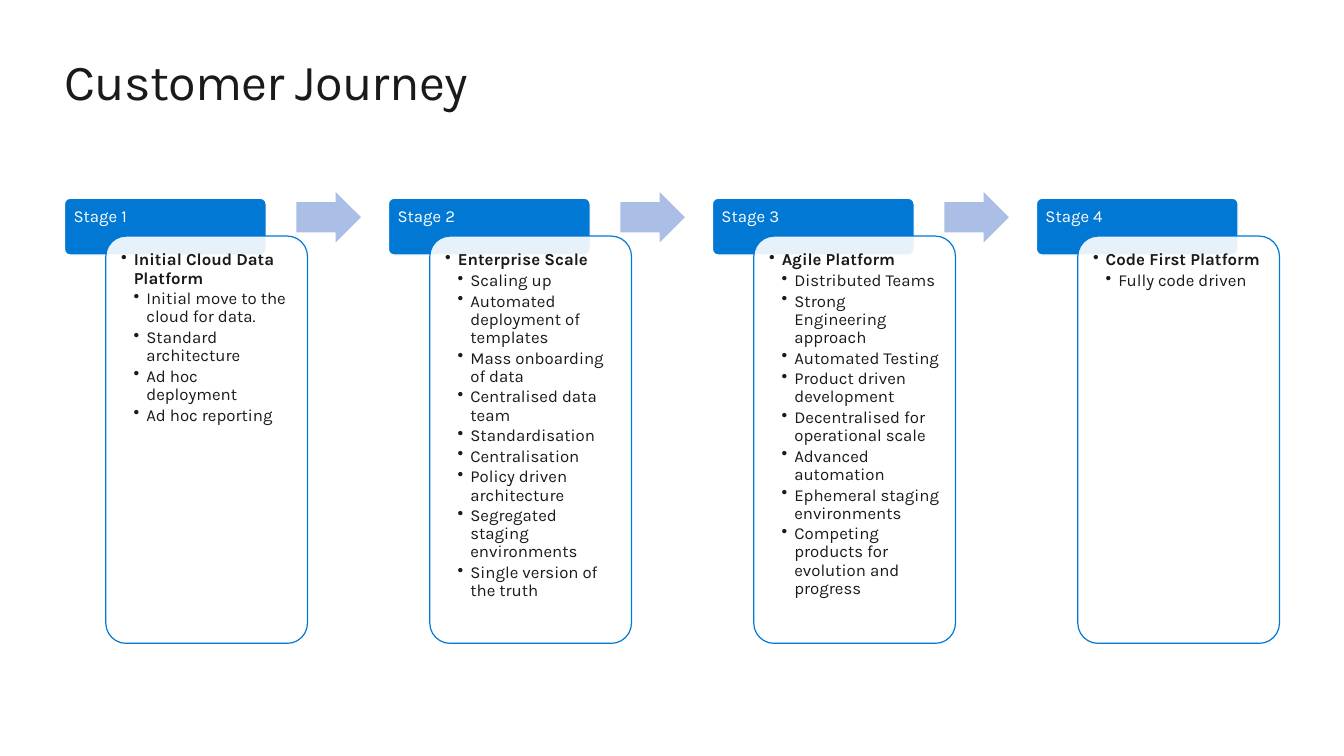
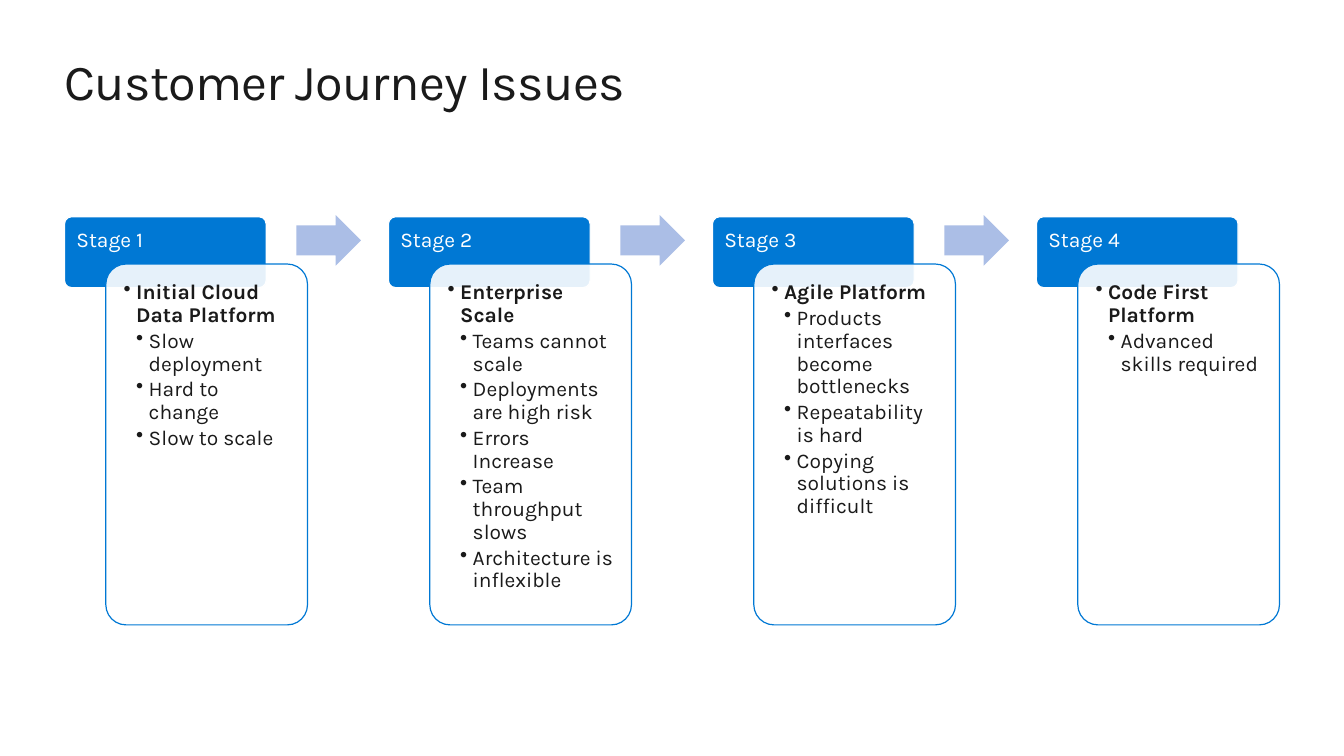
import pptx
import pptx.dml.color
import pptx.enum.shapes
import pptx.enum.text
import pptx.oxml.ns
import pptx.util
from lxml import etree

RGB = pptx.dml.color.RGBColor
BLUE = RGB(0x00, 0x78, 0xD4)
PALE_BLUE = RGB(0xAB, 0xBE, 0xE6)
WHITE = RGB(0xFF, 0xFF, 0xFF)
INK = RGB(0x1A, 0x1A, 0x1A)
FONT = "Karla"
SHAPES = pptx.enum.shapes.MSO_SHAPE

# Regions in inches: left, top, width, height
TITLE_BOX = (0.64, 0.5, 12.05, 0.61)
JOURNEY_BOX = (0.64, 1.5, 12.05, 5.35)
CARD_WIDTH = 2
CARD_SHIFT = 0.41
ARROW_SHIFT, ARROW_WIDTH, ARROW_HEIGHT = 2.3, 0.64, 0.5
INDENT = 0.125

# Each page: title, text size, panel height, and per stage a heading with its points
PAGES = [
    ("Customer Journey", 12, 4.04, [
        ("Initial Cloud Data Platform", [
            "Initial move to the cloud for data.", "Standard architecture",
            "Ad hoc deployment", "Ad hoc reporting"]),
        ("Enterprise Scale", [
            "Scaling up", "Automated deployment of templates",
            "Mass onboarding of data", "Centralised data team",
            "Standardisation", "Centralisation", "Policy driven architecture",
            "Segregated staging environments", "Single version of the truth"]),
        ("Agile Platform", [
            "Distributed Teams", "Strong Engineering approach",
            "Automated Testing", "Product driven development",
            "Decentralised for operational scale", "Advanced automation",
            "Ephemeral staging environments",
            "Competing products for evolution and progress"]),
        ("Code First Platform", ["Fully code driven"]),
    ]),
    ("Customer Journey Issues", 15, 3.58, [
        ("Initial Cloud Data Platform", [
            "Slow deployment", "Hard to change", "Slow to scale"]),
        ("Enterprise Scale", [
            "Teams cannot scale", "Deployments are high risk",
            "Errors Increase", "Team throughput slows",
            "Architecture is inflexible"]),
        ("Agile Platform", [
            "Products interfaces become bottlenecks",
            "Repeatability is hard", "Copying solutions is difficult"]),
        ("Code First Platform", ["Advanced skills required"]),
    ]),
]


def inches(box):
    return [pptx.util.Inches(length) for length in box]


def add_span(para, text, size, color, bold=False):
    span = para.add_run()
    span.text = text
    span.font.name = FONT
    span.font.size = pptx.util.Pt(size)
    span.font.color.rgb = color
    span.font.bold = bold
    return span


def set_frame(frame, margin):
    frame.word_wrap = True
    frame.vertical_anchor = pptx.enum.text.MSO_ANCHOR.TOP
    frame.margin_left = frame.margin_right = pptx.util.Inches(margin)
    frame.margin_top = frame.margin_bottom = pptx.util.Inches(margin)


def start_para(para):
    para.alignment = pptx.enum.text.PP_ALIGN.LEFT
    para.line_spacing = 0.9


def add_bullet(para, level, size):
    start_para(para)
    para.level = level
    para.space_after = pptx.util.Pt(0.15 * size)
    properties = para._p.get_or_add_pPr()
    properties.set("marL", str(pptx.util.Inches(INDENT * (level + 1))))
    properties.set("indent", str(-pptx.util.Inches(INDENT)))
    bullet = etree.SubElement(properties, pptx.oxml.ns.qn("a:buChar"))
    bullet.set("char", "•")


def add_shape(page, kind, box, fill, line=None):
    shape = page.shapes.add_shape(kind, *inches(box))
    shape.shadow.inherit = False
    shape.fill.solid()
    shape.fill.fore_color.rgb = fill
    if line is None:
        shape.line.fill.background()
    else:
        shape.line.color.rgb = line
        shape.line.width = pptx.util.Pt(0.85)
    return shape


def add_card(page, box, fill, line):
    card = add_shape(page, SHAPES.ROUNDED_RECTANGLE, box, fill, line)
    card.adjustments[0] = 0.1
    return card


def add_title(page, text):
    box = page.shapes.add_textbox(*inches(TITLE_BOX))
    set_frame(box.text_frame, 0)
    span = add_span(box.text_frame.paragraphs[0], text, 36, INK)
    span.font._element.set("spc", "-50")


def add_stage(page, left, top, strip, panel_height, size, label, heading, points):
    margin = size / 128

    # Blue header; the panel overlaps its lower third
    header = add_card(page, (left, top, CARD_WIDTH, 1.5 * strip), BLUE, WHITE)
    set_frame(header.text_frame, margin - 0.02)
    header.text_frame.margin_top = pptx.util.Inches(margin - 0.01)
    para = header.text_frame.paragraphs[0]
    start_para(para)
    add_span(para, label, size, WHITE)

    # Translucent panel with the points
    panel_box = (left + CARD_SHIFT, top + strip, CARD_WIDTH, panel_height)
    panel = add_card(page, panel_box, WHITE, BLUE)
    color = panel.fill._xPr.find(".//" + pptx.oxml.ns.qn("a:srgbClr"))
    etree.SubElement(color, pptx.oxml.ns.qn("a:alpha")).set("val", "90000")
    frame = panel.text_frame
    set_frame(frame, margin)
    para = frame.paragraphs[0]
    add_bullet(para, 0, size)
    add_span(para, heading, size, INK, bold=True)
    for point in points:
        para = frame.add_paragraph()
        add_bullet(para, 1, size)
        add_span(para, point, size, INK)


def add_arrow(page, left, middle):
    box = (left, middle - ARROW_HEIGHT / 2, ARROW_WIDTH, ARROW_HEIGHT)
    arrow = add_shape(page, SHAPES.RIGHT_ARROW, box, PALE_BLUE)
    arrow.adjustments[0] = 0.6
    arrow.adjustments[1] = 0.5


def add_journey(page, box, size, panel_height, stages):
    box_left, box_top, width, height = box
    strip = size / 32
    top = box_top + (height - strip - panel_height) / 2
    pitch = (width - CARD_WIDTH - CARD_SHIFT) / (len(stages) - 1)
    for index, (heading, points) in enumerate(stages):
        left = box_left + index * pitch
        add_stage(page, left, top, strip, panel_height, size,
                  f"Stage {index + 1}", heading, points)
        if index < len(stages) - 1:
            add_arrow(page, left + ARROW_SHIFT, top + strip / 2)


def main():
    deck = pptx.Presentation()
    deck.slide_width = pptx.util.Inches(13.33)
    deck.slide_height = pptx.util.Inches(7.5)
    for title, size, panel_height, stages in PAGES:
        page = deck.slides.add_slide(deck.slide_layouts[6])
        add_title(page, title)
        add_journey(page, JOURNEY_BOX, size, panel_height, stages)
    deck.save("out.pptx")


if __name__ == "__main__":
    main()
